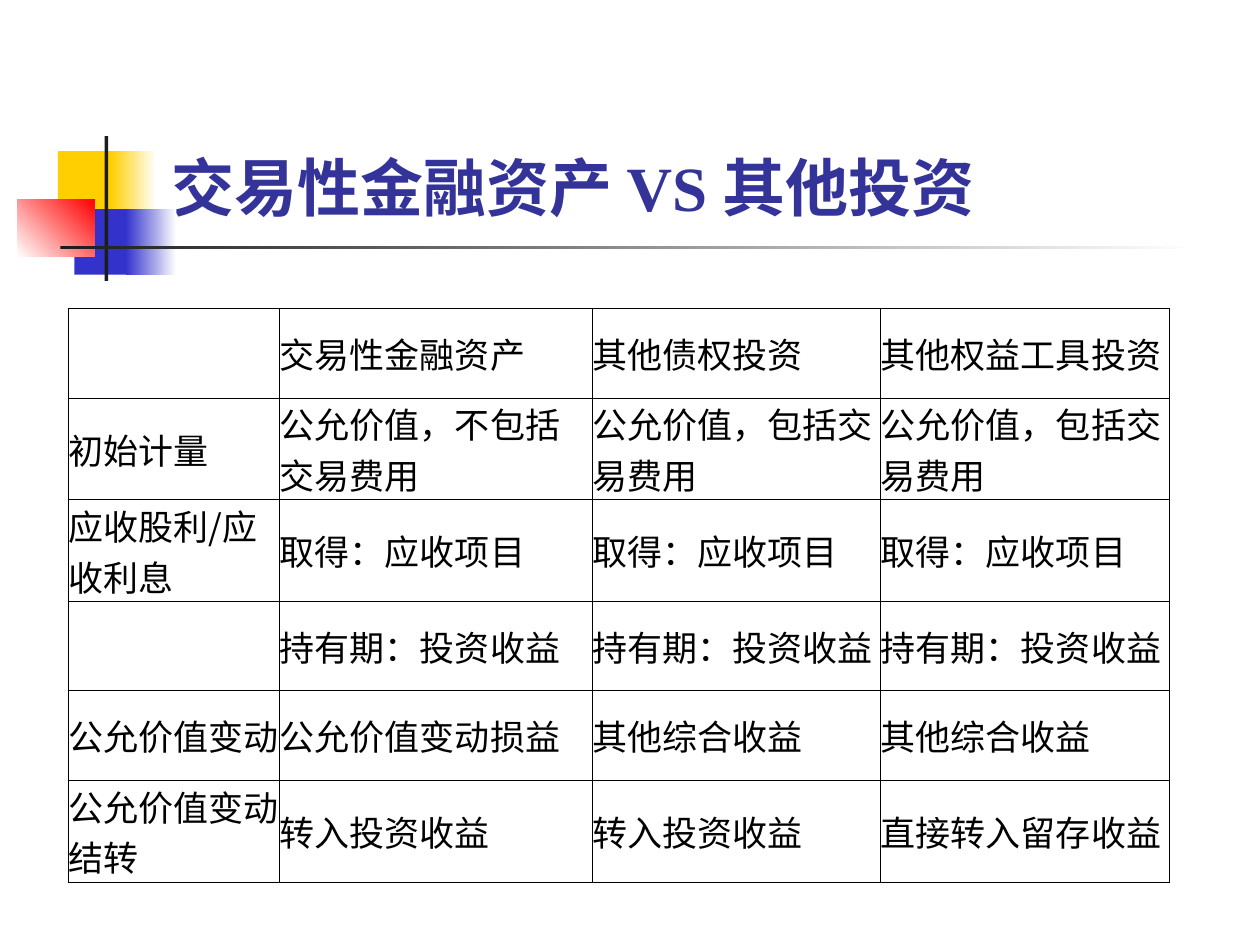
import pptx
import pptx.util
import pptx.dml.color
import pptx.enum.shapes
import pptx.enum.text
import pptx.oxml
import pptx.oxml.ns
from lxml import etree

COLORS = {"yellow": "FFCF01", "blue": "3333CC", "red": "FF0000", "dark": "1C1C1C",
          "white": "FFFFFF", "title": "333399", "black": "000000"}
CJK = "Noto Sans CJK SC"
TITLE = [("交易性金融资产 ", "Lato"), ("VS ", "Times New Roman"), ("其他投资", "Lato")]
DECOR = [
    ((0.46, 1.2, 0.48, 0.52), ["yellow"], 0),
    ((0.88, 1.2, 0.36, 0.52), ["yellow", "white"], 0),
    ((0.59, 1.66, 0.46, 0.52), ["blue"], 0),
    ((1, 1.66, 0.4, 0.52), ["blue", "white"], 0),
    ((0.14, 1.58, 0.61, 0.46), ["white", "red"], 45),
    ((0.83, 1.08, 0.03, 1.15), ["dark"], 0),
    ((0.48, 1.95, 9, 0.03), ["dark", "white"], 0),
]
COLUMNS = [1.68, 2.48, 2.29, 2.29]
ROW_HEIGHT = 0.71
ROWS = [
    ["", "交易性金融资产", "其他债权投资", "其他权益工具投资"],
    ["初始计量", "公允价值，不包括交易费用", "公允价值，包括交易费用", "公允价值，包括交易费用"],
    ["应收股利/应收利息"] + ["取得：应收项目"] * 3,
    [""] + ["持有期：投资收益"] * 3,
    ["公允价值变动", "公允价值变动损益", "其他综合收益", "其他综合收益"],
    ["公允价值变动结转", "转入投资收益", "转入投资收益", "直接转入留存收益"],
]


def inches(values):
    return [pptx.util.Inches(v) for v in values]


def rgb(name):
    return pptx.dml.color.RGBColor.from_string(COLORS[name])


def add_run(p, text, font, size, color, bold=False):
    r = p.add_run()
    r.text = text
    r.font.name = font
    r.font.size = pptx.util.Pt(size)
    r.font.bold = bold
    r.font.color.rgb = rgb(color)
    ea = etree.SubElement(r.font._element, pptx.oxml.ns.qn("a:ea"))
    ea.set("typeface", CJK)


def add_block(s, box, colors, angle):
    sp = s.shapes.add_shape(pptx.enum.shapes.MSO_SHAPE.RECTANGLE, *inches(box))
    sp.shadow.inherit = False
    sp.line.fill.background()
    if len(colors) == 1:
        sp.fill.solid()
        sp.fill.fore_color.rgb = rgb(colors[0])
    else:
        sp.fill.gradient()
        sp.fill.gradient_angle = angle
        for stop, color in zip(sp.fill.gradient_stops, colors):
            stop.color.rgb = rgb(color)


def format_title(sp):
    sp.left, sp.top, sp.width, sp.height = inches((1.26, 0.23, 8.52, 1.6))
    tf = sp.text_frame
    tf.word_wrap = True
    tf.vertical_anchor = pptx.enum.text.MSO_ANCHOR.BOTTOM
    p = tf.paragraphs[0]
    p.alignment = pptx.enum.text.PP_ALIGN.LEFT
    for text, font in TITLE:
        add_run(p, text, font, 36, "title", True)


def add_borders(cell):
    tcPr = cell._tc.get_or_add_tcPr()
    for i, side in enumerate(("lnL", "lnR", "lnT", "lnB")):
        tcPr.insert(i, pptx.oxml.parse_xml(
            f'<a:{side} {pptx.oxml.ns.nsdecls("a")} w="6350"><a:solidFill>'
            f'<a:srgbClr val="{COLORS["black"]}"/></a:solidFill></a:{side}>'))


def add_grid(s):
    height = ROW_HEIGHT * len(ROWS)
    box = inches((0.54, 2.45, sum(COLUMNS), height))
    table = s.shapes.add_table(len(ROWS), len(COLUMNS), *box).table
    table.first_row = table.horz_banding = False
    for column, width in zip(table.columns, COLUMNS):
        column.width = pptx.util.Inches(width)
    for row, texts in zip(table.rows, ROWS):
        row.height = pptx.util.Inches(ROW_HEIGHT)
        for cell, text in zip(row.cells, texts):
            cell.fill.background()
            cell.margin_left = cell.margin_right = cell.margin_top = cell.margin_bottom = 0
            cell.vertical_anchor = pptx.enum.text.MSO_ANCHOR.MIDDLE
            add_borders(cell)
            if text:
                add_run(cell.text_frame.paragraphs[0], text, CJK, 20, "black")


def main():
    prs = pptx.Presentation()
    prs.slide_width, prs.slide_height = inches((10, 7.5))
    s = prs.slides.add_slide(prs.slide_layouts[5])
    for block in DECOR:
        add_block(s, *block)
    format_title(s.shapes.title)
    add_grid(s)
    prs.save("out.pptx")


if __name__ == "__main__":
    main()
